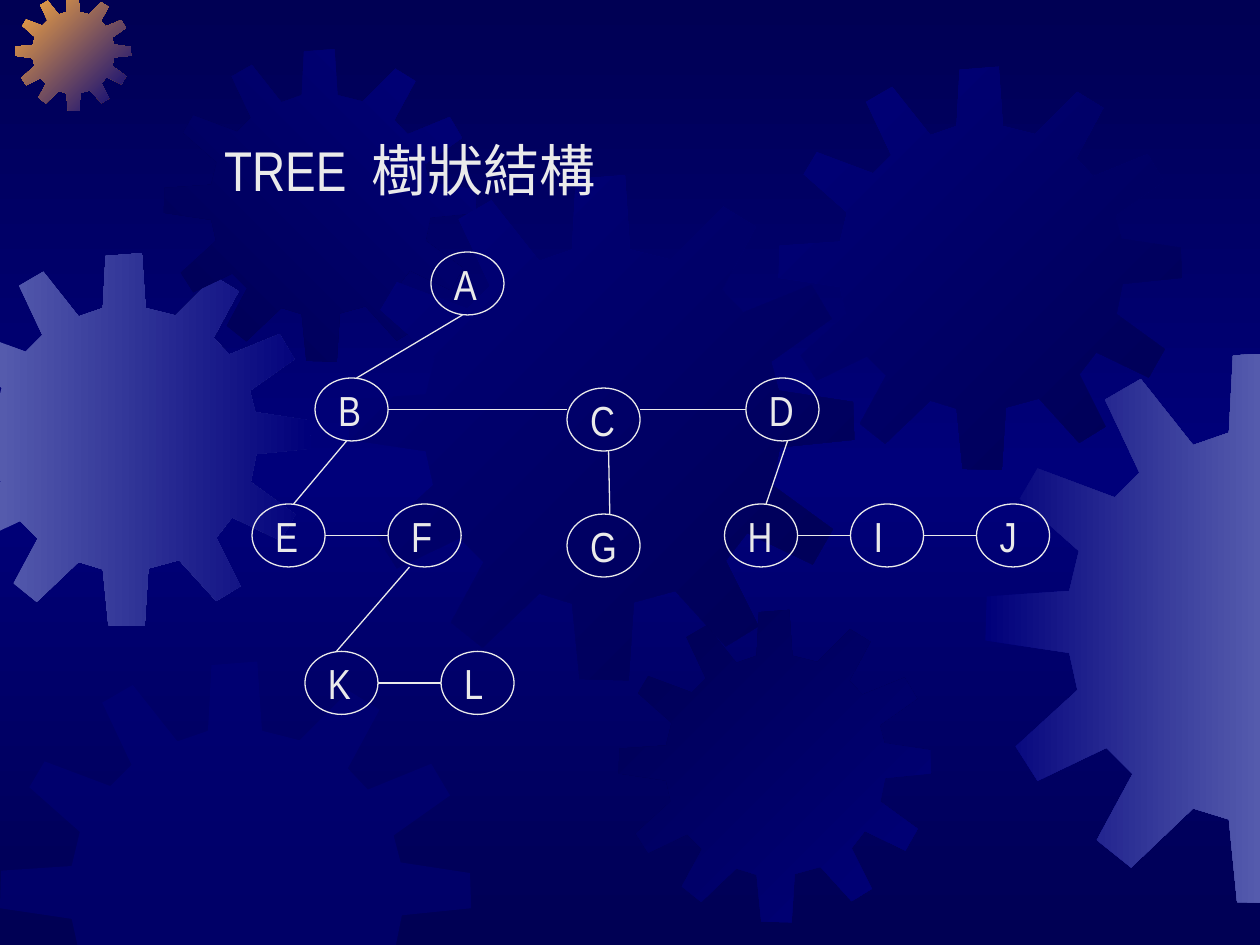
from copy import deepcopy

from lxml.etree import SubElement
from pptx import Presentation
from pptx.dml.color import RGBColor
from pptx.enum.shapes import MSO_CONNECTOR, MSO_SHAPE
from pptx.enum.text import MSO_ANCHOR, PP_ALIGN
from pptx.oxml.ns import qn
from pptx.util import Inches, Pt

DARK = RGBColor(0x00, 0x00, 0x54)
NAVY = RGBColor(0x00, 0x00, 0x7A)
STEEL = RGBColor(0x55, 0x5B, 0xAD)
GOLD = RGBColor(0xFC, 0xAB, 0x40)
PALE = RGBColor(0xEA, 0xEA, 0xEA)
FONT = "Arial Narrow"
WIDE, HIGH = 10, 7.5
NODE_W, NODE_H = 0.58, 0.5
SPAN = 401

OUTLINE = [
    (255, 67), (223, 59), (219, 0), (180, 3), (177, 59), (151, 68),
    (113, 20), (87, 35), (112, 88), (94, 106), (38, 85), (25, 107),
    (68, 145), (61, 174), (1, 178), (0, 210), (61, 219), (67, 246),
    (22, 287), (38, 312), (88, 288), (107, 307), (81, 355), (106, 375),
    (151, 332), (177, 340), (183, 400), (222, 401), (226, 339), (259, 330),
    (299, 374), (325, 358), (299, 306), (316, 284), (368, 309), (384, 281),
    (336, 246), (342, 216), (401, 210), (400, 180), (341, 171), (335, 148),
    (383, 114), (367, 87), (313, 109), (296, 91), (323, 41), (297, 25),
]

GEARS = [
    (-0.49, 2.01, 2.96, STEEL, NAVY, 0),
    (0.12, -0.04, 0.92, GOLD, NAVY, 45),
    (1.3, 0.39, 2.48, DARK, NAVY, 315),
    (2.77, 1.39, 4.01, NAVY, DARK, 45),
    (0, 5.25, 3.74, NAVY, None, 0),
    (4.91, 4.84, 2.48, DARK, NAVY, 45),
    (6.18, 0.53, 3.2, NAVY, DARK, 45),
    (7.82, 2.79, 4.38, NAVY, STEEL, 0),
]

NODES = {
    "A": (3.42, 2), "B": (2.5, 3), "C": (4.5, 3.08), "D": (5.92, 3),
    "E": (2, 4), "F": (3.08, 4), "G": (4.5, 4.08), "H": (5.75, 4),
    "I": (6.75, 4), "J": (7.75, 4), "K": (2.42, 5.17), "L": (3.5, 5.17),
}

CHILDREN = [
    (3.67, 2.5, 2.83, 3), (4.83, 3.58, 4.84, 4.08), (2.75, 3.5, 2.33, 4),
    (3.25, 4.5, 2.67, 5.17), (6.25, 3.5, 6.08, 4),
]

SIBLINGS = ["BC", "CD", "EF", "HI", "IJ", "KL"]


def clip(points, axis, edge, sign):
    """Keep the part of a polygon on the inner side of one slide edge."""
    kept = []
    for start, end in zip(points, points[1:] + points[:1]):
        a, b = (sign * (p[axis] - edge) for p in (start, end))
        if a >= 0:
            kept.append(start)
        if a * b < 0:
            t = a / (a - b)
            kept.append(tuple(s + t * (e - s) for s, e in zip(start, end)))
    return kept


def shade(fill, first, last, angle):
    """Apply a two-colour linear gradient with a clockwise angle."""
    fill.gradient()
    fill.gradient_angle = (360 - angle) % 360
    for stop, color in zip(fill.gradient_stops, (first, last)):
        stop.color.rgb = color


def paint(slide):
    """Fill the background from dark to navy and back to dark."""
    shade(slide.background.fill, DARK, NAVY, 90)
    stops = next(slide.element.iter(qn("a:gsLst")))
    stops.append(deepcopy(stops[0]))
    for stop, pos in zip(stops, (0, 50000, 100000)):
        stop.set("pos", str(pos))


def gear(slide, left, top, size, first, last, angle):
    """Draw one gear, cut at the slide edges."""
    points = [(left + x * size / SPAN, top + y * size / SPAN) for x, y in OUTLINE]
    for axis, edge, sign in ((0, 0, 1), (1, 0, 1), (0, WIDE, -1), (1, HIGH, -1)):
        points = clip(points, axis, edge, sign)
    path = [(Inches(x), Inches(y)) for x, y in points]
    form = slide.shapes.build_freeform(*path[0])
    form.add_line_segments(path[1:], close=True)
    shape = form.convert_to_shape()
    shape.shadow.inherit = False
    shape.line.fill.background()
    if last:
        shade(shape.fill, first, last, angle)
    else:
        shape.fill.solid()
        shape.fill.fore_color.rgb = first
        color = next(shape.element.spPr.iter(qn("a:srgbClr")))
        SubElement(color, qn("a:alpha")).set("val", "50000")


def write(shape, text, size=24, wrap=True, tab=None):
    """Put left-aligned pale text into a shape."""
    frame = shape.text_frame
    frame.word_wrap = wrap
    frame.vertical_anchor = MSO_ANCHOR.MIDDLE
    frame.margin_left = Inches(0.1)
    frame.margin_right = frame.margin_top = frame.margin_bottom = 0
    para = frame.paragraphs[0]
    para.alignment = PP_ALIGN.LEFT
    if tab:
        stops = SubElement(para._p.get_or_add_pPr(), qn("a:tabLst"))
        SubElement(stops, qn("a:tab"), pos=str(Inches(tab)), algn="l")
    run = para.add_run()
    run.text = text
    run.font.name = FONT
    run.font.size = Pt(size)
    run.font.color.rgb = PALE


def title(slide, text):
    """Add the slide title."""
    box = slide.shapes.add_textbox(Inches(1.68), Inches(1.02), Inches(3.16), Inches(0.64))
    write(box, text, size=32, wrap=False, tab=1.17)


def stroke(line):
    """Give a line its colour and width."""
    line.color.rgb = PALE
    line.width = Pt(0.75)


def node(slide, name, left, top):
    """Draw one tree node with its letter."""
    shape = slide.shapes.add_shape(
        MSO_SHAPE.OVAL, Inches(left), Inches(top), Inches(NODE_W), Inches(NODE_H))
    shape.shadow.inherit = False
    shape.fill.background()
    stroke(shape.line)
    write(shape, name)


def link(slide, *ends):
    """Draw a straight branch between two points."""
    line = slide.shapes.add_connector(MSO_CONNECTOR.STRAIGHT, *map(Inches, ends))
    SubElement(line._element.spPr, qn("a:effectLst"))
    stroke(line.line)


def main():
    """Build the tree slide."""
    deck = Presentation()
    deck.slide_width, deck.slide_height = Inches(WIDE), Inches(HIGH)
    slide = deck.slides.add_slide(deck.slide_layouts[6])
    paint(slide)
    for item in GEARS:
        gear(slide, *item)
    title(slide, "TREE\t樹狀結構")
    for name, place in NODES.items():
        node(slide, name, *place)
    for ends in CHILDREN:
        link(slide, *ends)
    for left, right in SIBLINGS:
        y = min(NODES[left][1], NODES[right][1]) + NODE_H / 2
        link(slide, NODES[left][0] + NODE_W, y, NODES[right][0], y)
    deck.save("out.pptx")


if __name__ == "__main__":
    main()
